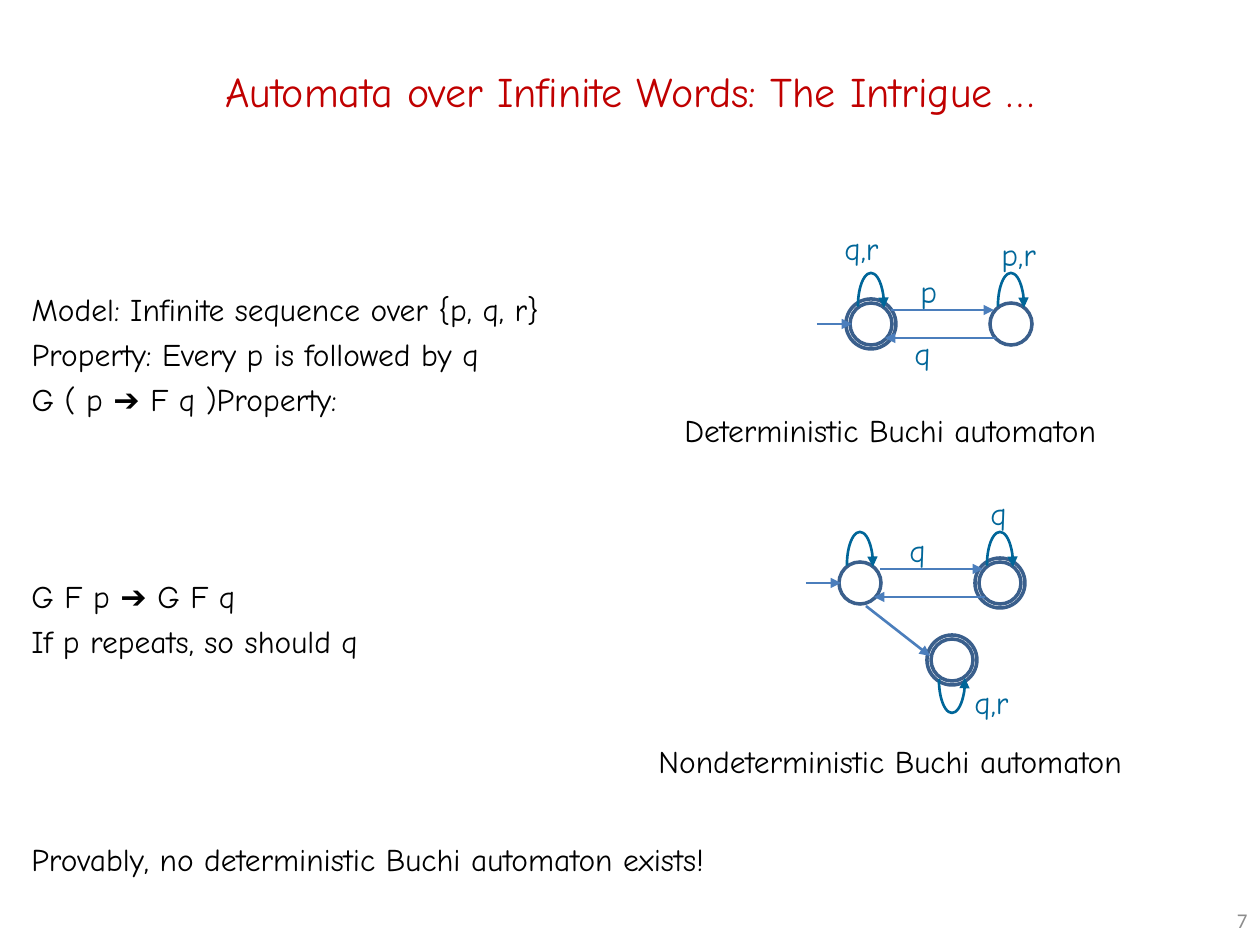
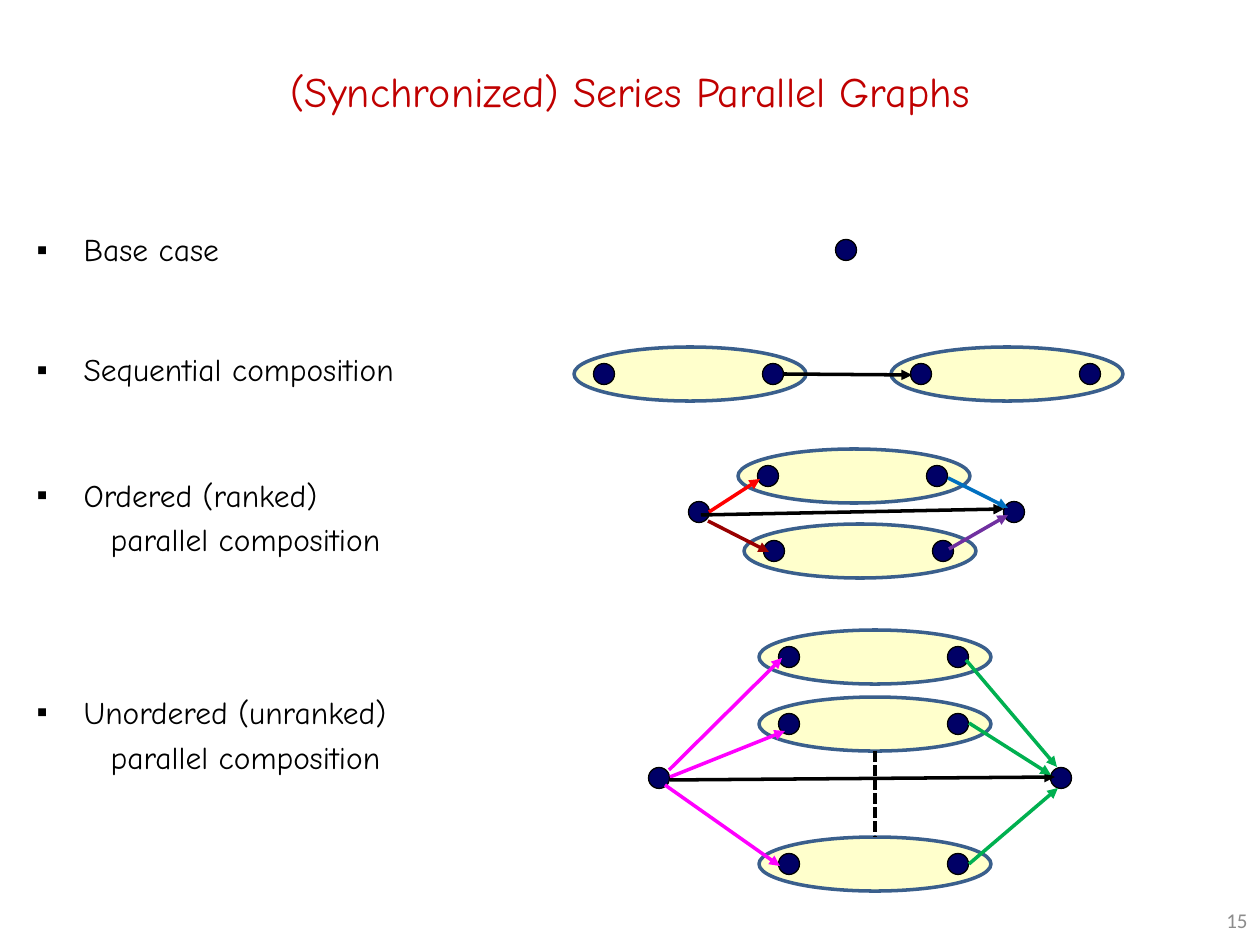
from lxml.etree import SubElement
from pptx import Presentation
from pptx.dml.color import RGBColor
from pptx.enum.dml import MSO_LINE
from pptx.enum.shapes import MSO_CONNECTOR, MSO_SHAPE as SHAPE
from pptx.enum.text import MSO_ANCHOR as ANCHOR, MSO_AUTO_SIZE, PP_ALIGN as ALIGN
from pptx.oxml.ns import qn
from pptx.util import Emu, Pt

PX = 914400 / 126
HAND_FONT = "Comic Neue"
NUMBER_FONT = "Calibri"
BLACK = "000000"
TITLE_RED = "C00000"
NUMBER_GRAY = "8C8C8C"
LABEL_TEAL = "006699"
STATE_BLUE = "3A5F8C"
EDGE_BLUE = "4B7EBC"
NODE_NAVY = "000066"
GRAPH_CREAM = "FFFFCC"
LINE_GAP = 4
NODE_SIZE = 21
GRAPH_WIDTH, GRAPH_HEIGHT = 232, 54
SOURCE_DX, SINK_DX = 30, 199


def px(*lengths):
    return [Emu(round(length * PX)) for length in lengths]


def color(hex_code):
    return RGBColor.from_string(hex_code)


def place(shape, box):
    shape.left, shape.top, shape.width, shape.height = px(*box)


def add_run(paragraph, text, size=18, ink=BLACK, font=HAND_FONT):
    run = paragraph.add_run()
    run.text = text
    run.font.size = Pt(size)
    run.font.name = font
    run.font.color.rgb = color(ink)


def set_bullet(paragraph, mark, margin, hang):
    props = paragraph._p.get_or_add_pPr()
    props.set("marL", str(px(margin)[0]))
    props.set("indent", str(-px(hang)[0]))
    if mark:
        SubElement(props, qn("a:buFont"), typeface="Arial")
        SubElement(props, qn("a:buChar"), char=mark)
    else:
        SubElement(props, qn("a:buNone"))


def write_lines(frame, lines, ink=BLACK):
    frame.word_wrap = True
    for index, text in enumerate(lines):
        paragraph = frame.add_paragraph() if index else frame.paragraphs[0]
        if index:
            paragraph.space_before = Pt(LINE_GAP)
        add_run(paragraph, text, ink=ink)


def add_text(shapes, lines, box, ink=BLACK):
    write_lines(shapes.add_textbox(*px(*box)).text_frame, lines, ink)


def add_label(shapes, text, left, top):
    add_text(shapes, [text], (left, top, 85, 55), LABEL_TEAL)


def fill_body(slide, items, box):
    body = slide.placeholders[1]
    place(body, box)
    frame = body.text_frame
    frame.word_wrap = True
    frame.auto_size = MSO_AUTO_SIZE.NONE
    frame.vertical_anchor = ANCHOR.TOP
    for index, (text, mark, margin, hang, gap) in enumerate(items):
        paragraph = frame.add_paragraph() if index else frame.paragraphs[0]
        set_bullet(paragraph, mark, margin, hang)
        paragraph.space_before = Pt(gap)
        add_run(paragraph, text)


def add_slide(deck, title_text, number):
    slide = deck.slides.add_slide(deck.slide_layouts[1])
    title = slide.shapes.title
    place(title, (58, 42, 1144, 98))
    title.text_frame.vertical_anchor = ANCHOR.MIDDLE
    heading = title.text_frame.paragraphs[0]
    heading.alignment = ALIGN.CENTER
    add_run(heading, title_text, 24, TITLE_RED)
    footer = slide.shapes.add_textbox(*px(1187, 895, 73, 50)).text_frame
    footer.word_wrap = True
    footer.vertical_anchor = ANCHOR.MIDDLE
    footer.paragraphs[0].alignment = ALIGN.RIGHT
    add_run(footer.paragraphs[0], number, 12, NUMBER_GRAY, NUMBER_FONT)
    return slide


def add_outline(shapes, kind, box, ink, width, fill=None):
    shape = shapes.add_shape(kind, *px(*box))
    shape.shadow.inherit = False
    if fill:
        shape.fill.solid()
        shape.fill.fore_color.rgb = color(fill)
    else:
        shape.fill.background()
    shape.line.color.rgb = color(ink)
    shape.line.width = Pt(width)
    return shape


def add_ellipse(shapes, center, width, height, ink, line_width, fill=None):
    x, y = center
    box = (x - width / 2, y - height / 2, width, height)
    add_outline(shapes, SHAPE.OVAL, box, ink, line_width, fill)


def add_arrowhead(shape):
    SubElement(shape.get_or_add_ln(), qn("a:tailEnd"), type="triangle")


def add_edge(shapes, start, end, ink, width=2, dashed=False):
    edge = shapes.add_connector(MSO_CONNECTOR.STRAIGHT, *px(*start, *end))
    edge.line.color.rgb = color(ink)
    edge.line.width = Pt(width)
    if dashed:
        edge.line.dash_style = MSO_LINE.SQUARE_DOT
    else:
        add_arrowhead(edge)
    SubElement(edge.element.spPr, qn("a:effectLst"))


def add_state(shapes, center, accepting=False, loop_below=False):
    x, y = center
    for size in (42, 50) if accepting else (42,):
        add_ellipse(shapes, center, size, size, STATE_BLUE, 2)
    top = y - 13 if loop_below else y - 51
    loop = add_outline(shapes, SHAPE.ARC, (x - 13, top, 26, 66), LABEL_TEAL, 1.5)
    loop.adjustments[0] = 105.918
    loop.adjustments[1] = 5.454
    if loop_below:
        loop.element.spPr.xfrm.set("flipV", "1")
    add_arrowhead(loop)


def add_two_state_automaton(slide, start, accepting_start):
    shapes = slide.shapes.add_group_shape().shapes
    x, y = start
    add_state(shapes, start, accepting_start)
    add_state(shapes, (x + 140, y), not accepting_start)
    for from_dx, to_dx, dy in ((-54, -19, 0), (20, 123, -14), (125, 14, 14)):
        add_edge(shapes, (x + from_dx, y + dy), (x + to_dx, y + dy), EDGE_BLUE, 1.5)
    return shapes


def add_node(shapes, center):
    add_ellipse(shapes, center, NODE_SIZE, NODE_SIZE, BLACK, 0.75, NODE_NAVY)


def add_subgraph(slide, left, middle):
    shapes = slide.shapes.add_group_shape().shapes
    add_ellipse(shapes, (left + GRAPH_WIDTH / 2, middle), GRAPH_WIDTH, GRAPH_HEIGHT,
                STATE_BLUE, 2, GRAPH_CREAM)
    for dx in (SOURCE_DX, SINK_DX):
        add_node(shapes, (left + dx, middle))


def build_automata_slide(deck):
    slide = add_slide(deck, "Automata over Infinite Words: The Intrigue …", "7")
    model = ("Model: Infinite sequence over {p, q, r}",
             "Property: Every p is followed by q",
             "G ( p ➔ F q )Property:")
    fill_body(slide, [(text, None, 0, 0, LINE_GAP if i else 0)
                      for i, text in enumerate(model)], (19, 284, 626, 175))

    deterministic = add_two_state_automaton(slide, (871, 324), True)
    for text, left, top in (("p", 908, 266), ("q", 902, 328),
                            ("p,r", 989, 229), ("q,r", 832, 223)):
        add_label(deterministic, text, left, top)

    nondeterministic = add_two_state_automaton(slide, (860, 583), False)
    add_state(nondeterministic, (952, 660), True, loop_below=True)
    add_edge(nondeterministic, (866, 606), (930, 656), EDGE_BLUE, 1.5)
    for text, left, top in (("q", 897, 525), ("q", 978, 488), ("q,r", 962, 677)):
        add_label(nondeterministic, text, left, top)

    for lines, box in (
        (["Deterministic Buchi automaton"], (672, 405, 512, 63)),
        (["G F p ➔ G F q", "If p repeats, so should q"], (19, 571, 403, 136)),
        (["Nondeterministic Buchi automaton"], (646, 736, 563, 63)),
        (["Provably, no deterministic Buchi automaton exists!"], (19, 834, 858, 63)),
    ):
        add_text(slide.shapes, lines, box)


def build_graphs_slide(deck):
    slide = add_slide(deck, "(Synchronized) Series Parallel Graphs", "15")
    continuation = ("parallel composition", None, 74, 0, LINE_GAP)
    fill_body(slide, [
        ("Base case", "▪", 47, 47, 0),
        ("Sequential composition", "▪", 47, 47, 47),
        ("Ordered (ranked)", "▪", 47, 47, 50),
        continuation,
        ("Unordered (unranked)", "▪", 47, 47, 77),
        continuation,
    ], (24, 224, 460, 591))

    for left, middle in ((574, 374), (891, 374), (738, 476), (744, 551),
                         (759, 657), (759, 724), (759, 864)):
        add_subgraph(slide, left, middle)
    for center in ((846, 250), (699, 512), (1014, 512), (659, 778), (1061, 778)):
        add_node(slide.shapes, center)

    for start, end, ink in (
        ((783, 374), (912, 375), BLACK),
        ((709, 512), (760, 479), "FF0000"),
        ((708, 521), (769, 552), "990000"),
        ((949, 549), (1008, 515), "7030A0"),
        ((948, 478), (1008, 508), "0070C0"),
        ((701, 515), (1004, 509), BLACK),
        ((669, 770), (782, 658), "FF00FF"),
        ((665, 785), (780, 866), "FF00FF"),
        ((670, 777), (785, 731), "FF00FF"),
        ((670, 780), (1055, 777), BLACK),
        ((966, 660), (1057, 767), "00B050"),
        ((969, 723), (1051, 775), "00B050"),
        ((969, 864), (1058, 788), "00B050"),
    ):
        add_edge(slide.shapes, start, end, ink)
    add_edge(slide.shapes, (875, 751), (875, 837), BLACK, dashed=True)


def main():
    deck = Presentation()
    deck.slide_width, deck.slide_height = px(1260, 945)
    build_automata_slide(deck)
    build_graphs_slide(deck)
    deck.save("out.pptx")


if __name__ == "__main__":
    main()
